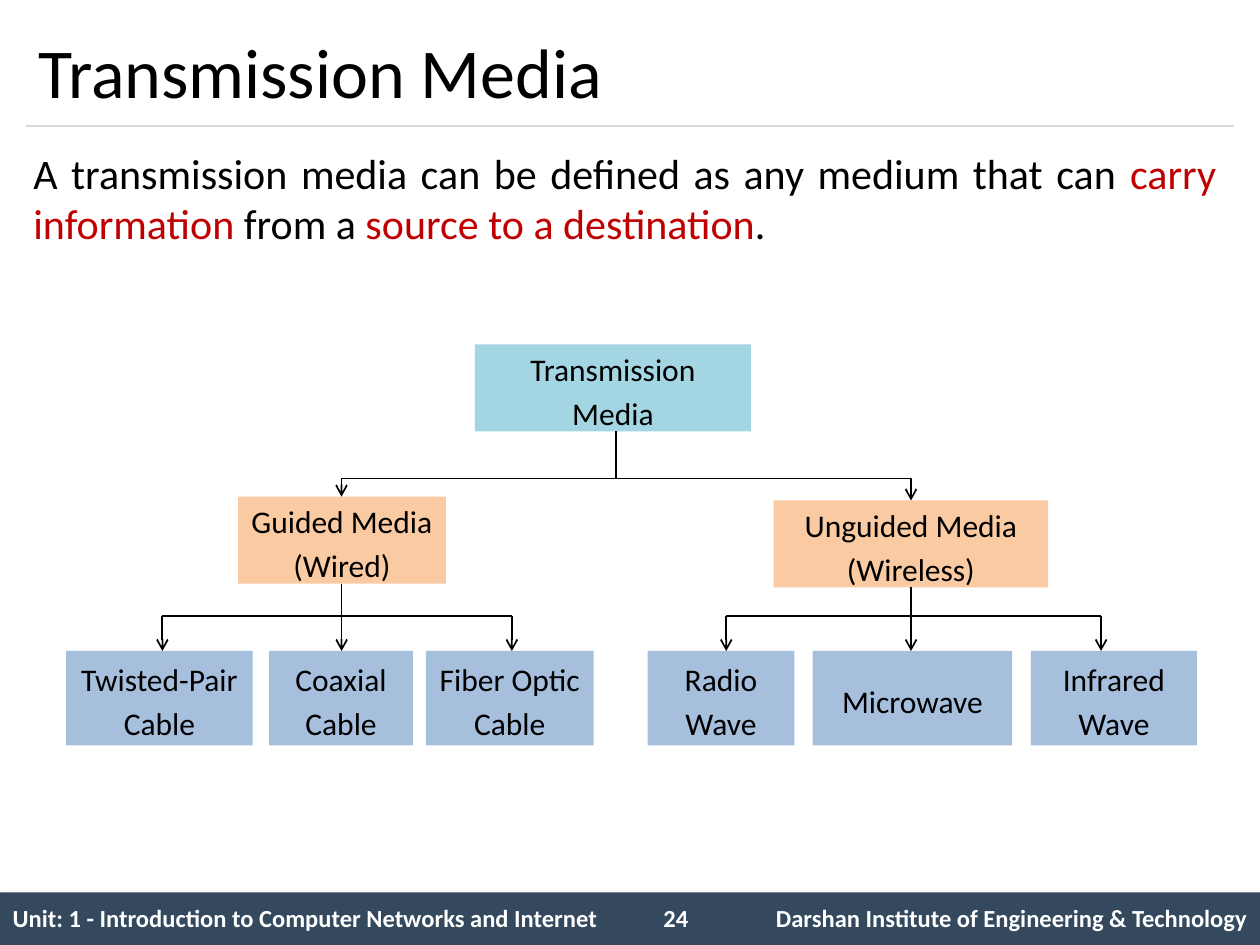
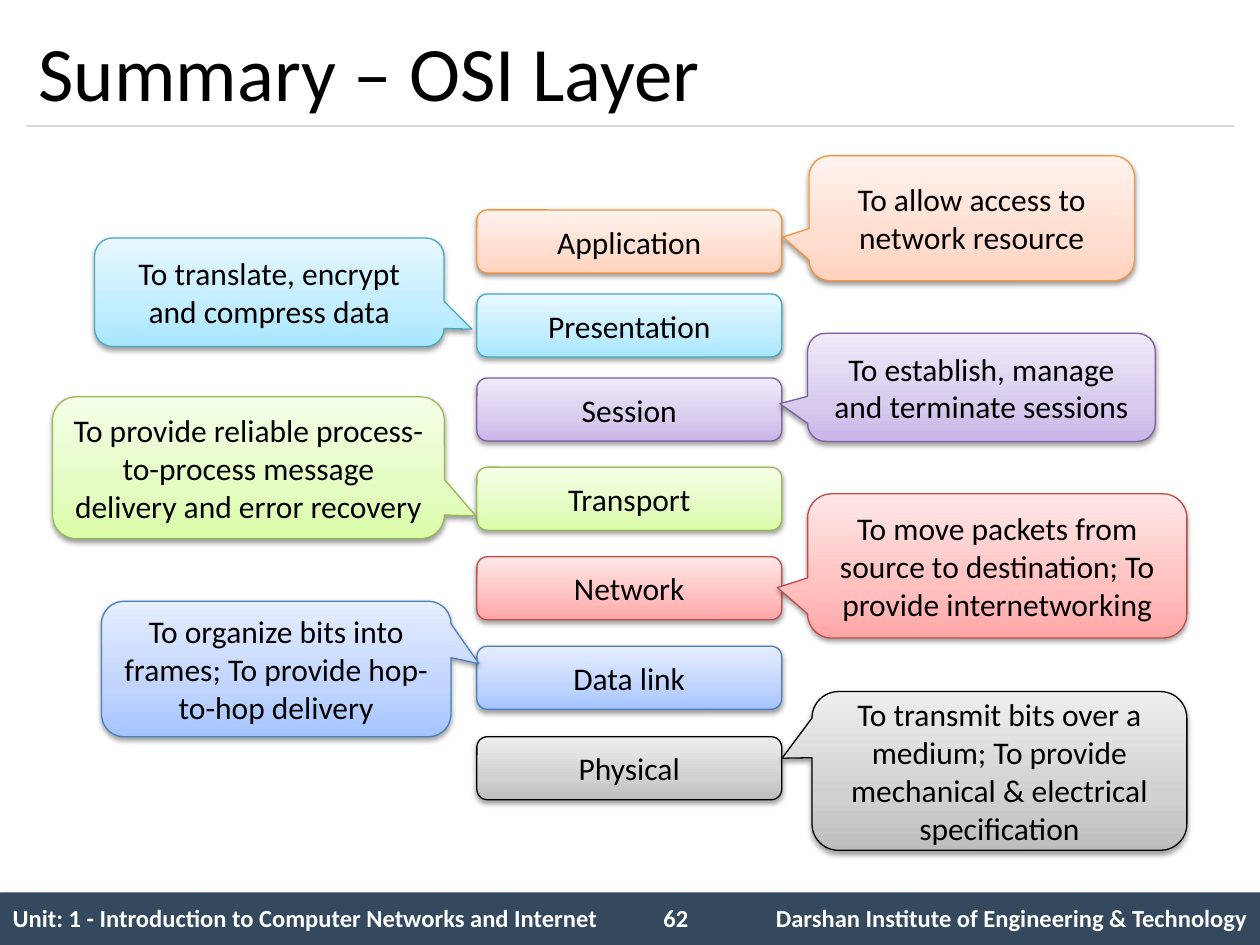
from lxml.etree import SubElement
from pptx import Presentation
from pptx.dml.color import RGBColor
from pptx.enum.shapes import MSO_CONNECTOR, MSO_SHAPE
from pptx.enum.text import MSO_ANCHOR, PP_ALIGN
from pptx.oxml import parse_xml
from pptx.oxml.ns import nsdecls, qn
from pptx.util import Pt

rgb = RGBColor.from_string
BLACK, WHITE, RED = "000000", "FFFFFF", "C00000"
NAVY, RULE = "34495E", "D9D9D9"
TEAL, ORANGE, BLUE = "4BACC6", "F79646", "4F81BD"
FONT = "Calibri"
SHADOW = (
    '<a:outerShdw {ns} blurRad="{blur}" dist="{dist}" dir="{turn}" rotWithShape="0">'
    '<a:srgbClr val="000000"><a:alpha val="{alpha}"/></a:srgbClr></a:outerShdw>'
)
BLEND = (
    '<a:gradFill {ns} rotWithShape="1"><a:gsLst>'
    '<a:gs pos="0"><a:srgbClr val="{low}"/></a:gs>'
    '<a:gs pos="35000"><a:srgbClr val="{mid}"/></a:gs>'
    '<a:gs pos="100000"><a:srgbClr val="{high}"/></a:gs>'
    '</a:gsLst><a:lin ang="16200000" scaled="1"/></a:gradFill>'
)
NS = nsdecls("a")
NO_GRID = "{2D5ABB26-0587-4C30-8999-92F81FD0307C}"


def write(frame, text, size=18, color=BLACK, bold=False, align=PP_ALIGN.CENTER,
          anchor=MSO_ANCHOR.MIDDLE, lead=None, after=None):
    """Fill a text frame; parts between bars turn red."""
    frame.word_wrap = True
    frame.vertical_anchor = anchor
    para = frame.paragraphs[0]
    para.alignment = align
    if lead:
        para.line_spacing = lead
    if after:
        para.space_after = Pt(after)
    for n, part in enumerate(text.split("|")):
        run = para.add_run()
        run.text = part
        run.font.name = FONT
        run.font.size = Pt(size)
        run.font.bold = bold
        run.font.color.rgb = rgb(RED if n % 2 else color)


def link(slide, start, end, color=BLACK, width=1, arrow=False, bent=False):
    kind = MSO_CONNECTOR.ELBOW if bent else MSO_CONNECTOR.STRAIGHT
    line = slide.shapes.add_connector(kind, *map(Pt, start + end))
    line.line.color.rgb = rgb(color)
    line.line.width = Pt(width)
    props = line._element.spPr
    if bent:
        props.find(qn("a:prstGeom")).set("prst", "bentConnector2")
    if arrow:
        SubElement(props.find(qn("a:ln")), qn("a:tailEnd"), type="arrow")
    SubElement(props, qn("a:effectLst"))


deck = Presentation()
deck.slide_width, deck.slide_height = Pt(720), Pt(540)

# Shared title, rule and footer
for title, size, page in (("Transmission Media", 40, "24"),
                          ("Summary – OSI Layer", 44, "62")):
    slide = deck.slides.add_slide(deck.slide_layouts[6])
    band = slide.shapes.add_shape(MSO_SHAPE.RECTANGLE, 0, Pt(510), Pt(720), Pt(30))
    band.fill.solid()
    band.fill.fore_color.rgb = rgb(NAVY)
    band.line.fill.background()
    band.shadow.inherit = False
    band._element.spPr.find(qn("a:effectLst")).append(parse_xml(SHADOW.format(
        ns=NS, blur=Pt(4), dist=Pt(3), turn=2700000, alpha=40000)))
    link(slide, (15, 72), (705, 72), color=RULE, width=0.75)

    table = slide.shapes.add_table(1, 3, 0, Pt(510), Pt(720), Pt(30)).table
    table.first_row = table.horz_banding = False
    table._tbl.tblPr.find(qn("a:tableStyleId")).text = NO_GRID
    for col, wide in zip(table.columns, (366, 48, 306)):
        col.width = Pt(wide)
    for n, text, align in (
            (0, "Unit: 1 - Introduction to Computer Networks and Internet", PP_ALIGN.LEFT),
            (2, "Darshan Institute of Engineering & Technology", PP_ALIGN.RIGHT)):
        cell = table.cell(0, n)
        cell.vertical_anchor = MSO_ANCHOR.MIDDLE
        write(cell.text_frame, text, size=14, color=WHITE, bold=True, align=align)
    for cell in table.iter_cells():
        cell.fill.background()

    box = slide.shapes.add_textbox(Pt(372), Pt(512.6), Pt(42), Pt(24.2))
    write(box.text_frame, page, size=14, color=WHITE, bold=True,
          align=PP_ALIGN.LEFT, anchor=MSO_ANCHOR.TOP)
    box = slide.shapes.add_textbox(Pt(15), Pt(8.6), Pt(690), Pt(63.4))
    write(box.text_frame, title, size=size, align=PP_ALIGN.LEFT)

tree, stack = deck.slides

# Transmission media tree
box = tree.shapes.add_textbox(Pt(12), Pt(80.6), Pt(690), Pt(65.5))
write(box.text_frame,
      "A transmission media can be defined as any medium that can |carry information|"
      " from a |source to a destination|.",
      size=24, align=PP_ALIGN.JUSTIFY, anchor=MSO_ANCHOR.TOP)

HEAD, LEAF = 49.7, 54
LEAF_TOP, BUS, FORK = 372, 352, 273.5
ROOT_X = 352
nodes = [
    ("Transmission Media", 271.4, 196.8, 157.7, HEAD, TEAL, 10),
    ("Guided Media (Wired)", 136, 283.8, 118.8, HEAD, ORANGE, 10),
    ("Unguided Media (Wireless)", 442, 286, 157, HEAD, ORANGE, 10),
]
for text, left, wide, after in (
        ("Twisted-Pair Cable", 37.8, 106.7, None),
        ("Coaxial Cable", 153.8, 82.2, None),
        ("Fiber Optic Cable", 243.4, 95.8, None),
        ("Radio Wave", 370, 84, None),
        ("Microwave", 464.4, 114, 10),
        ("Infrared Wave", 589, 95, None)):
    nodes.append((text, left, LEAF_TOP, wide, LEAF, BLUE, after))

for text, left, top, wide, high, color, after in nodes:
    node = tree.shapes.add_shape(MSO_SHAPE.RECTANGLE, *map(Pt, (left, top, wide, high)))
    node.shadow.inherit = False
    node.line.fill.background()
    node.fill.solid()
    node.fill.fore_color.rgb = rgb(color)
    tint = node._element.spPr.find(qn("a:solidFill")).find(qn("a:srgbClr"))
    SubElement(tint, qn("a:alpha"), val="50000")
    write(node.text_frame, text, lead=1.15, after=after)

link(tree, (ROOT_X, 196.8 + HEAD), (ROOT_X, FORK))
for top, stops in ((283.8, (92.8, 195.2, 292.5)), (286, (415, 520.6, 629.2))):
    first, mid, last = stops
    link(tree, (ROOT_X, FORK), (mid, top), arrow=True, bent=True)
    link(tree, (first, BUS), (last, BUS))
    for x in stops:
        start = top + HEAD if x == mid else BUS
        link(tree, (x, start), (x, LEAF_TOP), arrow=True)

# OSI layers: name, top, edge, gradient, then callout text, place and tip height
layers = (
    ("Application", 120, "F69240", ("FFD2BD", "FFDED0", "FFF2ED"),
     "To allow access to network resource", (462.3, 89, 186, 71.4), 0.15),
    ("Presentation", 168, "46AAC5", ("A7E6FF", "C1EDFF", "E7F8FF"),
     "To translate, encrypt and compress data", (54, 136, 199.7, 62), 0.34),
    ("Session", 216, "7D60A0", ("C9B5E8", "D8CBEE", "F0EAF9"),
     "To establish, manage and terminate sessions", (461.5, 190.5, 198.7, 61.8), 0.15),
    ("Transport", 267, "98B955", ("DAFDA7", "E4FCC2", "F5FFE7"),
     "To provide reliable process-to-process message delivery and error recovery",
     (30, 226.8, 224, 81), 0.34),
    ("Network", 318.2, "BF4C48", ("FFA6A5", "FFC0BF", "FFE7E7"),
     "To move packets from source to destination; To provide internetworking",
     (461.5, 282.2, 216.7, 82.4), 0.15),
    ("Data link", 369.3, "4B7EBC", ("A4C4FF", "BFD4FF", "E6EEFF"),
     "To organize bits into frames; To provide hop-to-hop delivery",
     (58, 343.6, 199.7, 77.4), -0.04),
    ("Physical", 421, BLACK, ("BDBDBD", "D1D1D1", "EEEEEE"),
     "To transmit bits over a medium; To provide mechanical & electrical specification",
     (464, 395.2, 214.2, 90.7), -0.08),
)
for name, top, edge, (low, mid, high), note, place, tip in layers:
    bar = stack.shapes.add_shape(MSO_SHAPE.ROUNDED_RECTANGLE,
                                 *map(Pt, (272.5, top, 174.2, 36)))
    call = stack.shapes.add_shape(MSO_SHAPE.ROUNDED_RECTANGULAR_CALLOUT, *map(Pt, place))
    call.adjustments[0] = -0.58 if place[0] > 360 else 0.58
    call.adjustments[1] = tip
    for shape, text in ((bar, name), (call, note)):
        shape.line.color.rgb = rgb(edge)
        shape.line.width = Pt(0.75)
        shape.shadow.inherit = False
        props = shape._element.spPr
        props.insert(2, parse_xml(BLEND.format(ns=NS, low=low, mid=mid, high=high)))
        props.find(qn("a:effectLst")).append(parse_xml(SHADOW.format(
            ns=NS, blur=Pt(3.1), dist=Pt(1.6), turn=5400000, alpha=38000)))
        write(shape.text_frame, text)

deck.save("out.pptx")
